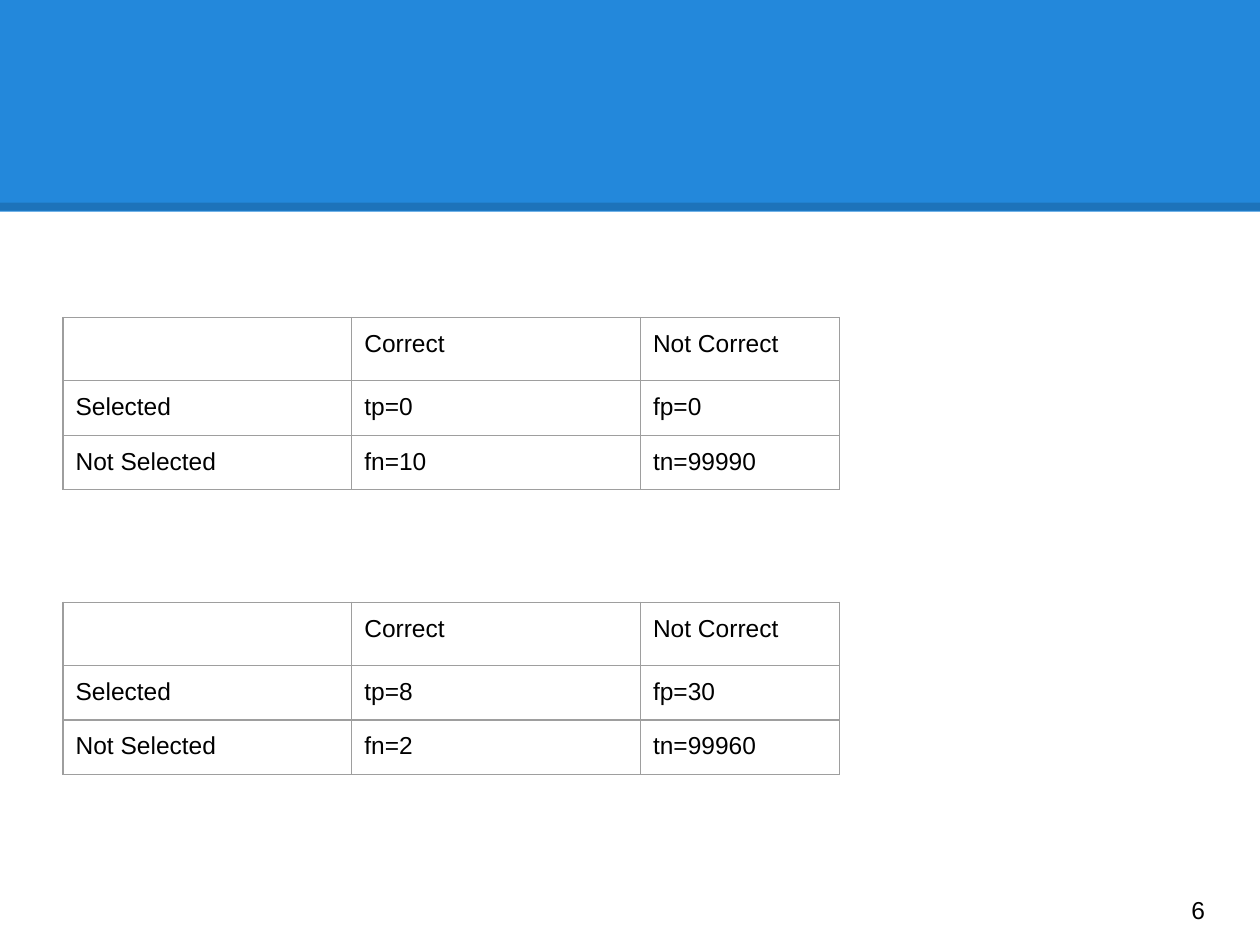
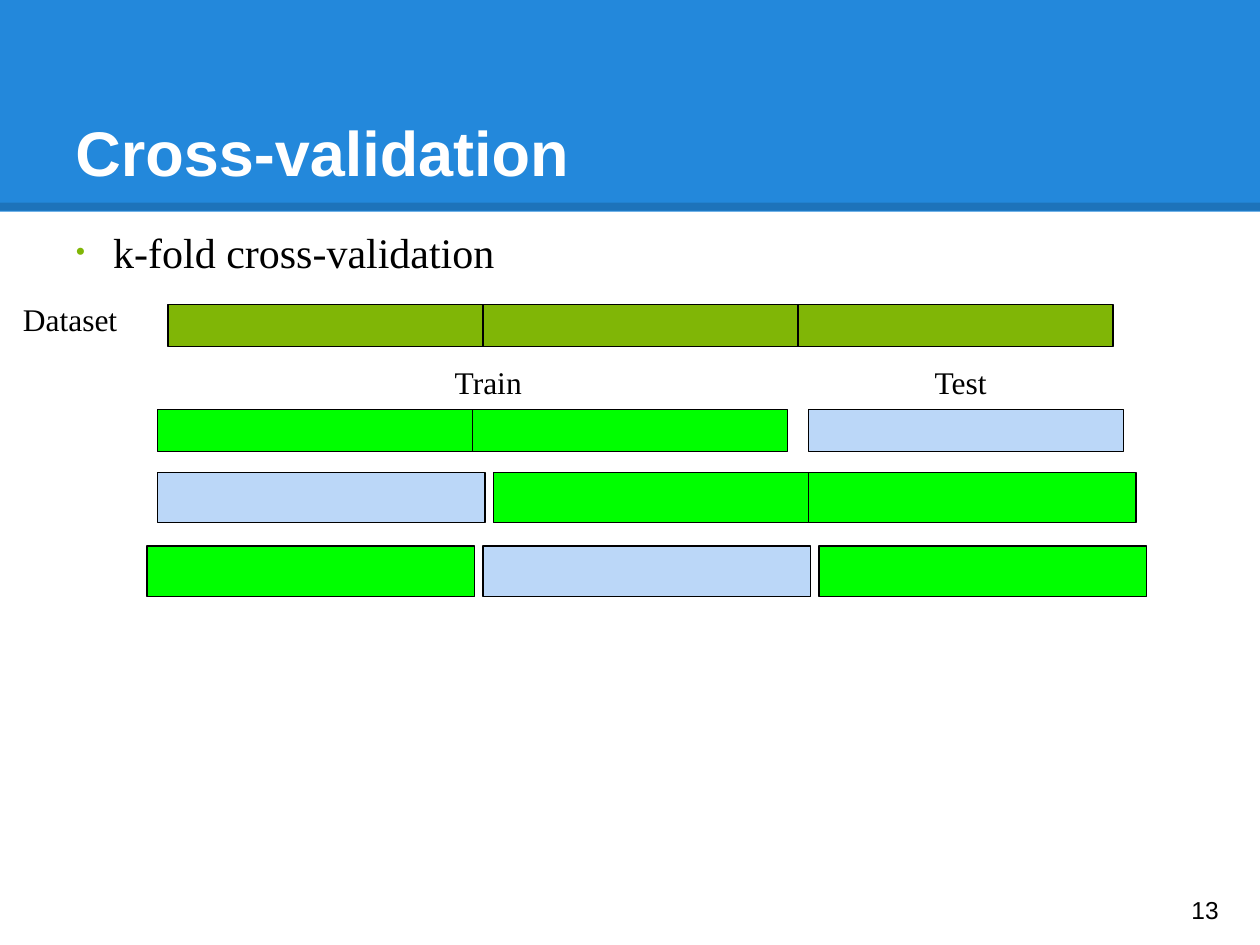
import pptx
import pptx.dml.color
import pptx.enum.shapes
import pptx.enum.text
import pptx.oxml
import pptx.oxml.ns
import pptx.util

COLUMNS, ROWS = 120, 90  # grid of the slide, twelve cells to the inch
CELL = pptx.util.Inches(1) // 12

BAND_BLUE = "2388DB"
BLACK = "000000"
WHITE = "FFFFFF"
OLIVE = "80B606"
TRAIN_GREEN = "00FF00"
TEST_BLUE = "BBD7F8"
BORDER_GRAY = "9E9E9E"
SANS, SERIF = "Arial", "Times New Roman"

ANCHOR = pptx.enum.text.MSO_ANCHOR
ALIGN = pptx.enum.text.PP_ALIGN
NAMESPACE = pptx.oxml.ns.nsdecls("a")


def grid(*cells):
    return [pptx.util.Emu(round(cell * CELL)) for cell in cells]


def color(hex_code):
    return pptx.dml.color.RGBColor.from_string(hex_code)


def style_paragraph(paragraph, size, font, hex_code=BLACK, bold=False):
    for span in paragraph.runs:
        span.font.size = pptx.util.Pt(size)
        span.font.name = font
        span.font.bold = bold
        span.font.color.rgb = color(hex_code)


def add_text(slide, text, place, size, font, hex_code=BLACK, bold=False,
             anchor=ANCHOR.TOP, align=ALIGN.LEFT):
    frame = slide.shapes.add_textbox(*grid(*place)).text_frame
    frame.word_wrap = True
    frame.vertical_anchor = anchor
    frame.text = text
    paragraph = frame.paragraphs[0]
    paragraph.alignment = align
    style_paragraph(paragraph, size, font, hex_code, bold)
    return paragraph


def add_bullet(paragraph, hex_code, percent, indent):
    properties = paragraph._p.get_or_add_pPr()
    width = grid(indent)[0]
    properties.set("marL", str(width))
    properties.set("indent", str(-width))
    for xml in (
        f'<a:buClr {NAMESPACE}><a:srgbClr val="{hex_code}"/></a:buClr>',
        f'<a:buSzPct {NAMESPACE} val="{percent * 1000}"/>',
        f'<a:buFont {NAMESPACE} typeface="{SERIF}"/>',
        f'<a:buChar {NAMESPACE} char="•"/>',
    ):
        properties.append(pptx.oxml.parse_xml(xml))


def add_rectangle(slide, place, fill, line=None):
    shape = slide.shapes.add_shape(
        pptx.enum.shapes.MSO_SHAPE.RECTANGLE, *grid(*place))
    shape.shadow.inherit = False
    shape.fill.solid()
    shape.fill.fore_color.rgb = color(fill)
    if line:
        shape.line.color.rgb = color(line)
        shape.line.width = pptx.util.Pt(0.75)
    else:
        shape.line.fill.background()


def add_band_edge(slide, row):
    """Draw the translucent dark line along the foot of the title band."""
    edge = slide.shapes.add_connector(
        pptx.enum.shapes.MSO_CONNECTOR.STRAIGHT, *grid(0, row, COLUMNS, row))
    edge.line.width = pptx.util.Pt(4.5)
    edge.line.color.rgb = color(BLACK)
    properties = edge._element.spPr
    tint = properties.find(".//" + pptx.oxml.ns.qn("a:srgbClr"))
    tint.append(pptx.oxml.parse_xml(f'<a:alpha {NAMESPACE} val="15000"/>'))
    properties.append(pptx.oxml.parse_xml(f"<a:effectLst {NAMESPACE}/>"))


def add_slide(deck, number, title=None):
    """Add a slide with the band, the page number and, if given, a title."""
    slide = deck.slides.add_slide(deck.slide_layouts[6])
    add_rectangle(slide, (0, 0, COLUMNS, 20.16), BAND_BLUE)
    add_band_edge(slide, 19.68)
    if title:
        add_text(slide, title, (6, 3.6, 108, 15), 36, SANS, WHITE,
                 bold=True, anchor=ANCHOR.BOTTOM)
    add_text(slide, str(number), (112.3, 83.2, 7.2, 6.8), 14, SANS,
             anchor=ANCHOR.MIDDLE)
    return slide


def style_cell(cell):
    margin = pptx.util.Inches(0.1)
    cell.margin_left = cell.margin_right = margin
    cell.margin_top = cell.margin_bottom = margin
    style_paragraph(cell.text_frame.paragraphs[0], 14, SANS)
    properties = cell._tc.get_or_add_tcPr()
    for side in "LRTB":
        properties.append(pptx.oxml.parse_xml(
            f'<a:ln{side} {NAMESPACE} w="9525"><a:solidFill>'
            f'<a:srgbClr val="{BORDER_GRAY}"/></a:solidFill></a:ln{side}>'))
    cell.fill.background()


def add_confusion_table(slide, top, selected, not_selected):
    content = [("", "Correct", "Not Correct"),
               ("Selected", *selected),
               ("Not Selected", *not_selected)]
    widths, heights = grid(27.5, 27.5, 19), grid(5.76, 5, 5)
    table = slide.shapes.add_table(
        len(heights), len(widths), *grid(6, top), sum(widths), sum(heights)).table
    for column, width in zip(table.columns, widths):
        column.width = width
    for row, height, texts in zip(table.rows, heights, content):
        row.height = height
        for cell, text in zip(row.cells, texts):
            cell.text = text
            style_cell(cell)


def add_fold_row(slide, lefts, top, width, height, fills):
    for left, fill in zip(lefts, fills):
        add_rectangle(slide, (left, top, width, height), fill, BLACK)


def build_confusion_slide(deck):
    slide = add_slide(deck, 6)
    add_confusion_table(slide, 30.24, ("tp=0", "fp=0"), ("fn=10", "tn=99990"))
    add_confusion_table(slide, 57.36, ("tp=8", "fp=30"), ("fn=2", "tn=99960"))


def build_cross_validation_slide(deck):
    slide = add_slide(deck, 13, "Cross-validation")
    heading = add_text(slide, "k-fold cross-validation", (6, 21, 108, 65),
                       24, SERIF)
    add_bullet(heading, OLIVE, 70, 3.6)

    train, test = TRAIN_GREEN, TEST_BLUE
    add_fold_row(slide, (16, 46, 76), 29, 30, 4, (OLIVE,) * 3)
    add_fold_row(slide, (15, 45, 77), 39, 30, 4, (train, train, test))
    add_fold_row(slide, (15, 47, 77), 45, 31.2, 4.8, (test, train, train))
    add_fold_row(slide, (14, 46, 78), 52, 31.2, 4.8, (train, test, train))

    add_text(slide, "Dataset", (1, 28, 15, 4.8), 18, SERIF)
    for label, left in (("Train", 30), ("Test", 75)):
        add_text(slide, label, (left, 34, 33, 4.8), 18, SERIF,
                 align=ALIGN.CENTER)


def main():
    deck = pptx.Presentation()
    deck.slide_width, deck.slide_height = grid(COLUMNS, ROWS)
    build_confusion_slide(deck)
    build_cross_validation_slide(deck)
    deck.save("out.pptx")


if __name__ == "__main__":
    main()
